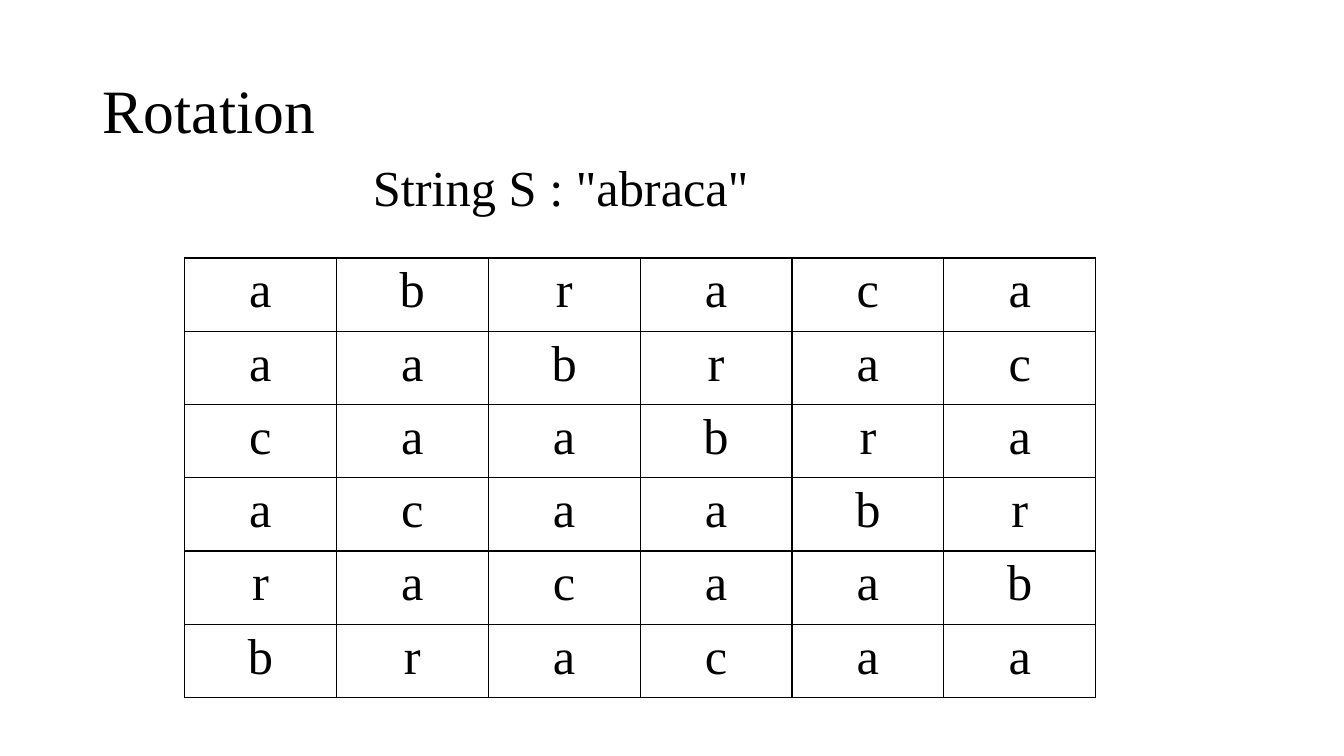
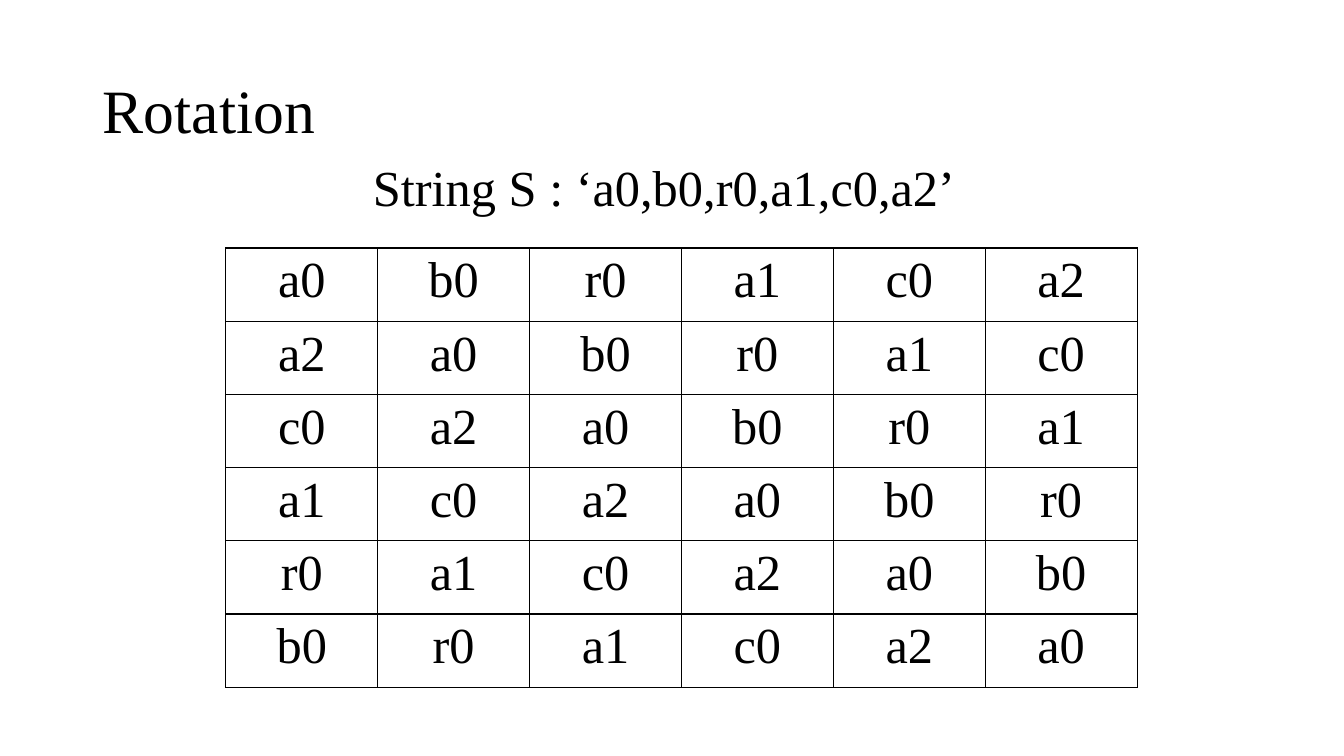
"""Build two slides that show every rotation of a string as a table."""
import pptx
import pptx.dml.color
import pptx.enum.text
import pptx.oxml
import pptx.oxml.ns
import pptx.util

Inches, Pt = pptx.util.Inches, pptx.util.Pt
PP_ALIGN = pptx.enum.text.PP_ALIGN

TITLE = "Rotation"
SLIDES = [
    {"caption": "String S : \"abraca\"", "symbols": list("abraca"),
     "caption_width": 4.09, "table_at": (1.83, 2.56)},
    {"caption": "String S : ‘a0,b0,r0,a1,c0,a2’",
     "symbols": ["a0", "b0", "r0", "a1", "c0", "a2"],
     "caption_width": 6.04, "table_at": (2.24, 2.46)},
]
COLORS = {"ink": "000000", "paper": "FFFFFF"}
FONT = "Times New Roman"
TITLE_SIZE, TEXT_SIZE = 44, 36
TABLE_WIDTH, TABLE_HEIGHT = 9.04, 4.36
BORDER_WIDTH = 1


def rgb(name):
    return pptx.dml.color.RGBColor.from_string(COLORS[name])


def write(tf, text, size, align=PP_ALIGN.LEFT):
    p = tf.paragraphs[0]
    p.alignment = align
    r = p.add_run()
    r.text = text
    r.font.name = FONT
    r.font.size = Pt(size)
    r.font.color.rgb = rgb("ink")
    return p


def set_borders(cell):
    tc_pr = cell._tc.get_or_add_tcPr()
    for side in ("lnL", "lnR", "lnT", "lnB"):
        tc_pr.append(pptx.oxml.parse_xml(
            f'<a:{side} {pptx.oxml.ns.nsdecls("a")} w="{Pt(BORDER_WIDTH)}">'
            f'<a:solidFill><a:srgbClr val="{COLORS["ink"]}"/></a:solidFill>'
            f'</a:{side}>'))


def add_title(s):
    sp = s.shapes.title
    sp.left, sp.top = Inches(0.92), Inches(0.4)
    sp.width, sp.height = Inches(11.5), Inches(1.45)
    tf = sp.text_frame
    tf.vertical_anchor = pptx.enum.text.MSO_ANCHOR.MIDDLE
    write(tf, TITLE, TITLE_SIZE).line_spacing = 0.9


def add_rotations(s, symbols, left, top):
    n = len(symbols)
    table = s.shapes.add_table(n, n, Inches(left), Inches(top),
                               Inches(TABLE_WIDTH), Inches(TABLE_HEIGHT)).table
    table.first_row = table.horz_banding = False
    for i in range(n):
        for j in range(n):
            cell = table.cell(i, j)
            set_borders(cell)
            cell.fill.solid()
            cell.fill.fore_color.rgb = rgb("paper")
            write(cell.text_frame, symbols[(j - i) % n], TEXT_SIZE, PP_ALIGN.CENTER)


def add_caption(s, text, width):
    sp = s.shapes.add_textbox(Inches(3.6), Inches(1.5), Inches(width), Inches(0.71))
    tf = sp.text_frame
    tf.word_wrap = False
    tf.auto_size = pptx.enum.text.MSO_AUTO_SIZE.SHAPE_TO_FIT_TEXT
    write(tf, text, TEXT_SIZE)


def main():
    prs = pptx.Presentation()
    prs.slide_width, prs.slide_height = Inches(13.33), Inches(7.5)
    title_only = prs.slide_layouts.get_by_name("Title Only")
    for item in SLIDES:
        s = prs.slides.add_slide(title_only)
        add_title(s)
        add_rotations(s, item["symbols"], *item["table_at"])
        add_caption(s, item["caption"], item["caption_width"])
    prs.save("out.pptx")


if __name__ == "__main__":
    main()
